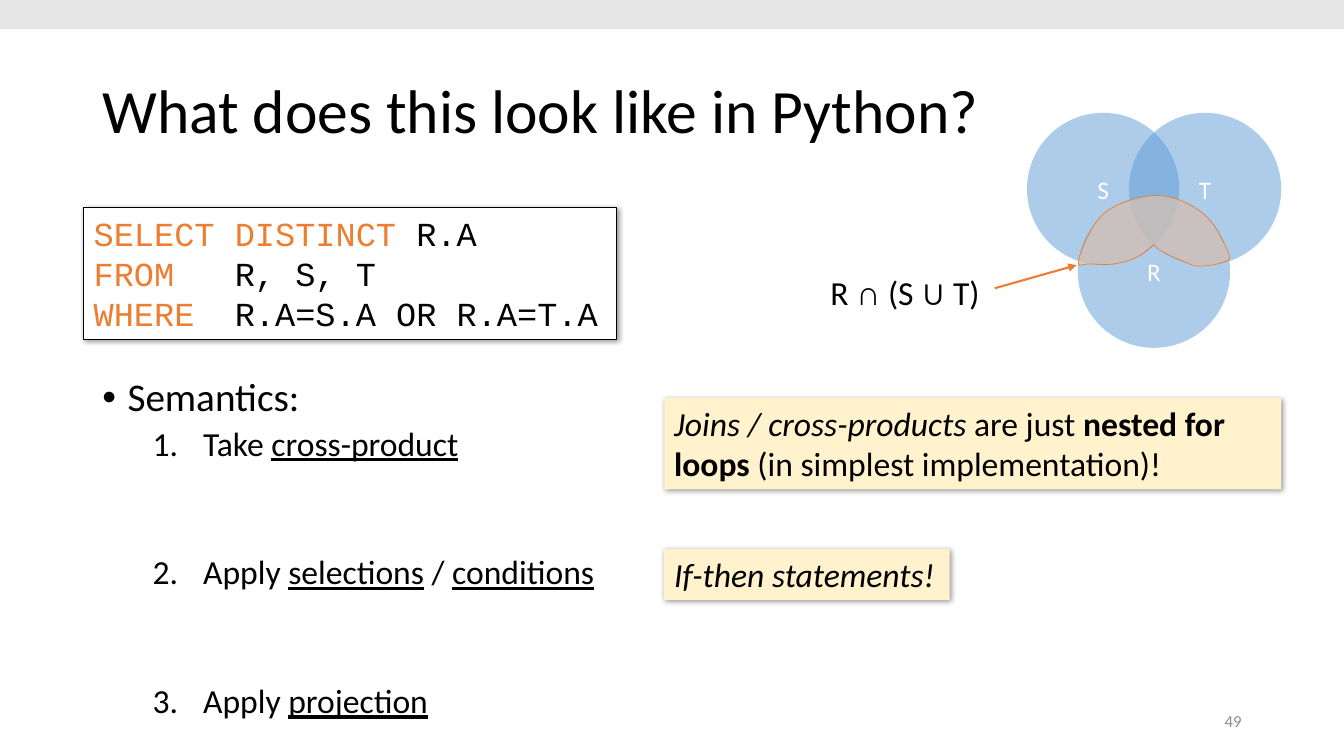
from lxml.etree import SubElement
from pptx import Presentation
from pptx.dml.color import RGBColor
from pptx.enum.shapes import MSO_CONNECTOR, MSO_SHAPE
from pptx.enum.text import MSO_ANCHOR, MSO_AUTO_SIZE, PP_ALIGN
from pptx.oxml.ns import qn
from pptx.util import Pt

BLACK, WHITE, ORANGE = "000000", "FFFFFF", "ED7D31"
BLUE, PEACH, CREAM, GREY = "5B9BD5", "F8CBAD", "FFF2CC", "E7E6E6"


def color(value):
    return RGBColor.from_string(value)


def add_child(parent, tag, **attributes):
    return SubElement(parent, qn(tag), {key: str(value) for key, value in attributes.items()})


def bezier(start, controls, steps=8):
    """Points along one cubic curve, without its start."""
    points = (start, *controls)
    for step in range(1, steps + 1):
        t = step / steps
        weights = ((1 - t) ** 3, 3 * t * (1 - t) ** 2, 3 * t * t * (1 - t), t ** 3)
        yield tuple(Pt(sum(w * point[axis] for w, point in zip(weights, points)))
                    for axis in (0, 1))


class SlideBuilder:
    font = "Calibri"

    def __init__(self, page):
        self.page = page

    def add_runs(self, para, runs, size=24, **style):
        """Each run is a text, or a text with its own style."""
        for run in runs:
            text, own = (run, {}) if isinstance(run, str) else run
            look = {**style, **own}
            span = para.add_run()
            span.text = text
            span.font.size = Pt(size)
            span.font.name = look.get("font", self.font)
            span.font.color.rgb = color(look.get("color", BLACK))
            span.font.bold = look.get("bold")
            span.font.italic = look.get("italic")
            span.font.underline = look.get("underline")

    def fill_text(self, box, lines, anchor=MSO_ANCHOR.TOP, align=PP_ALIGN.LEFT,
                  wrap=True, **style):
        frame = box.text_frame
        frame.word_wrap = wrap
        frame.auto_size = MSO_AUTO_SIZE.NONE
        frame.vertical_anchor = anchor
        for index, runs in enumerate(lines):
            para = frame.add_paragraph() if index else frame.paragraphs[0]
            para.alignment = align
            self.add_runs(para, runs, **style)

    def title(self, text, *place):
        box = self.page.shapes.title
        box.left, box.top, box.width, box.height = map(Pt, place)
        self.fill_text(box, [[text]], MSO_ANCHOR.MIDDLE, size=44)
        box.text_frame.paragraphs[0].line_spacing = 0.9

    def text(self, lines, *place, **style):
        box = self.page.shapes.add_textbox(*map(Pt, place))
        self.fill_text(box, lines, **style)
        return box

    def paint(self, shape, fill, line=None, width=0.75, opacity=100):
        shape.shadow.inherit = False
        shape.fill.solid()
        shape.fill.fore_color.rgb = color(fill)
        if opacity < 100:
            tint = shape._element.spPr.find(qn("a:solidFill"))[0]
            add_child(tint, "a:alpha", val=opacity * 1000)
        if line:
            shape.line.color.rgb = color(line)
            shape.line.width = Pt(width)
        else:
            shape.line.fill.background()

    def shape(self, kind, fill, *place, line=None, opacity=100):
        shape = self.page.shapes.add_shape(kind, *map(Pt, place))
        self.paint(shape, fill, line, opacity=opacity)
        return shape

    def card(self, lines, fill, *place, line=None, **style):
        """A rectangle with text and a soft shadow."""
        box = self.shape(MSO_SHAPE.RECTANGLE, fill, *place, line=line)
        effects = box._element.spPr.find(qn("a:effectLst"))
        shadow = add_child(effects, "a:outerShdw", blurRad=Pt(4), dist=Pt(1),
                           dir=45 * 60000, algn="tl", rotWithShape=0)
        add_child(add_child(shadow, "a:srgbClr", val=BLACK), "a:alpha", val=40000)
        self.fill_text(box, lines, **style)

    def circle(self, label, left, top, diameter):
        disc = self.shape(MSO_SHAPE.OVAL, BLUE, left, top, diameter, diameter, opacity=50)
        self.fill_text(disc, [[label]], MSO_ANCHOR.MIDDLE, PP_ALIGN.CENTER, size=18, color=WHITE)

    def arrow(self, *ends):
        connector = self.page.shapes.add_connector(MSO_CONNECTOR.STRAIGHT, *map(Pt, ends))
        connector.line.color.rgb = color(ORANGE)
        connector.line.width = Pt(1.5)
        properties = connector._element.spPr
        add_child(properties.find(qn("a:ln")), "a:tailEnd", type="triangle")
        add_child(properties, "a:effectLst")

    def curved_area(self, start, curves):
        outline = self.page.shapes.build_freeform(Pt(start[0]), Pt(start[1]), scale=1.0)
        for controls in curves:
            outline.add_line_segments(bezier(start, controls), close=False)
            start = controls[-1]
        outline.add_line_segments([], close=True)
        self.paint(outline.convert_to_shape(), PEACH, ORANGE, 0.5, opacity=60)

    def list_item(self, para, margin, indent, space_before, bullet, **marker):
        para.line_spacing = 0.9
        para.space_before = Pt(space_before)
        properties = para._p.get_or_add_pPr()
        properties.set("marL", str(Pt(margin)))
        properties.set("indent", str(Pt(indent)))
        add_child(properties, "a:buFont", typeface="Arial" if bullet == "a:buChar" else "+mj-lt")
        add_child(properties, bullet, **marker)


def main():
    deck = Presentation()
    deck.slide_width, deck.slide_height = Pt(960), Pt(540)
    page = deck.slides.add_slide(deck.slide_layouts[5])
    builder = SlideBuilder(page)

    # Top band, title and page number
    builder.shape(MSO_SHAPE.RECTANGLE, GREY, 0, 0, 960, 20.7)
    builder.title("What does this look like in Python?", 66, 29, 828, 104)
    builder.text([["49"]], 678, 500.4, 216, 28.8, anchor=MSO_ANCHOR.MIDDLE,
                 align=PP_ALIGN.RIGHT, size=12, color="8C8C8C")

    # Query
    query = (("SELECT DISTINCT", " R.A"), ("FROM", "   R, S, T"),
             ("WHERE", "  R.A=S.A OR R.A=T.A"))
    builder.card([[(keyword, {"color": ORANGE}), rest] for keyword, rest in query],
                 WHITE, 59.8, 148.3, 380.9, 94.3, line=BLACK, wrap=False, font="Courier New")

    # Semantics list
    underlined = {"underline": True}
    steps = [["Take ", ("cross-product", underlined)],
             ["Apply ", ("selections", underlined), " / ", ("conditions", underlined)],
             ["Apply ", ("projection", underlined)]]
    box = builder.text([["Semantics:"]], 66, 266.4, 425.5, 251.3, size=28)
    builder.list_item(box.text_frame.paragraphs[0], 18, -18, 10, "a:buChar", char="•")
    for number, runs in enumerate(steps):
        para = box.text_frame.add_paragraph()
        para.level = 1
        builder.add_runs(para, runs)
        builder.list_item(para, 72, -36, 66 if number else 5, "a:buAutoNum", type="arabicPeriod")

    # Notes beside the steps
    builder.card([[("Joins / cross-products", {"italic": True}), " are just ",
                   ("nested for loops", {"bold": True}), " (in simplest implementation)!"]],
                 CREAM, 474.5, 284.2, 440.6, 65.4)
    builder.card([["If-then statements!"]], CREAM, 474.5, 392.2, 203.8, 36.4, italic=True)

    # Venn diagram
    symbol = {"font": "Arial"}
    builder.text([["R ", ("∩", symbol), " (S ", ("∪", symbol), " T)"]],
                 586.1, 190.8, 123.8, 36.4, wrap=False)
    for label, left, top in (("S", 733.6, 80.6), ("T", 806.4, 80.6), ("R", 769.9, 139.7)):
        builder.circle(label, left, top, 108.8)
    builder.arrow(710.6, 205.9, 769, 189.4)
    overlap_start = (770.4, 185.8)
    builder.curved_area(overlap_start, [
        ((771.8, 180), (779, 160.6), (788.4, 152.6)),
        ((797.8, 144.7), (814.3, 139.7), (826.6, 139.7)),
        ((838.8, 139.7), (851.8, 146.2), (860.4, 153.4)),
        ((869, 160.6), (875.5, 175.7), (877.7, 181.4)),
        ((879.8, 187.2), (875.5, 186.5), (871.9, 187.9)),
        ((868.3, 189.4), (860.4, 190.1), (855.4, 190.1)),
        ((851, 189.4), (848.2, 187.9), (843.1, 185.8)),
        ((838.8, 184.3), (830.2, 180), (827.3, 177.8)),
        ((823.7, 175.7), (825.1, 175), (824.4, 175)),
        ((823.7, 174.6), (823, 175.7), (822.2, 176.4)),
        ((820.1, 177.8), (815.8, 182.2), (810.7, 184.3)),
        ((806.4, 186.5), (800.6, 187.9), (794.9, 188.6)),
        ((789.8, 189.4), (783.4, 188.6), (779, 188.6)),
        ((774.7, 187.9), (769, 192.2), overlap_start),
    ])

    deck.save("out.pptx")


if __name__ == "__main__":
    main()
